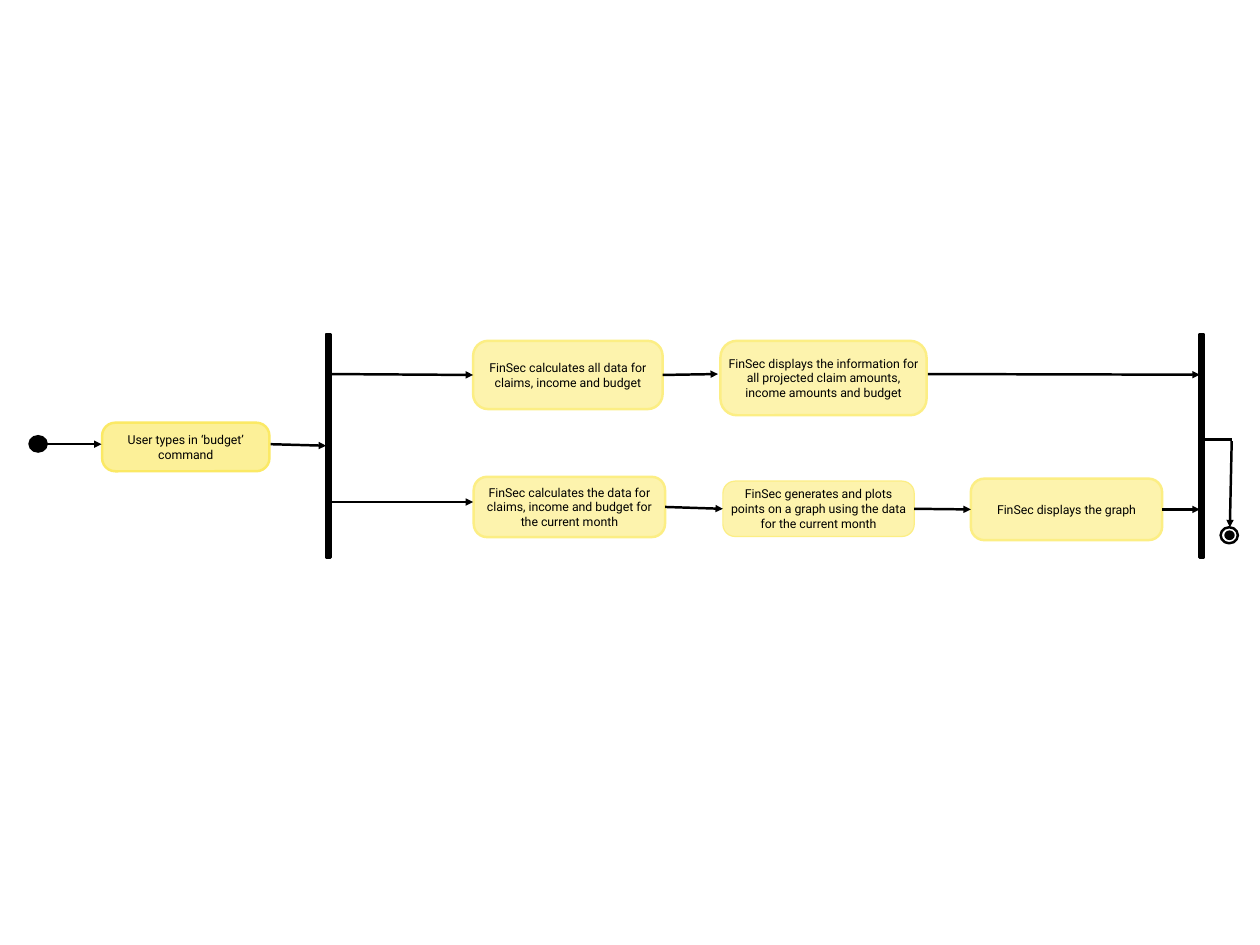
from lxml.etree import SubElement
from pptx import Presentation
from pptx.dml.color import RGBColor
from pptx.enum.shapes import MSO_CONNECTOR, MSO_SHAPE
from pptx.enum.text import MSO_ANCHOR, PP_ALIGN
from pptx.oxml.ns import qn
from pptx.util import Pt

BLACK, WHITE = "000000", "FFFFFF"
DEEP = ("FCF098", "FBE965")
PALE = ("FDF3AD", "FCEE84")
LEFT, RIGHT = 1, 3

# Steps: key -> text, (left, top, width, height), (fill, border), border width, corner
steps = {
    "command": ("User types in ‘budget’ command",
                (83, 343.5, 136, 39.5), DEEP, 2, 0.27),
    "calculate all": ("FinSec calculates all data for claims, income and budget",
                      (384.5, 277, 154, 55.5), PALE, 2, 0.22),
    "show amounts": ("FinSec displays the information for all projected claim amounts, "
                     "income amounts and budget",
                     (585.5, 277, 167.5, 60.5), PALE, 2, 0.22),
    "calculate month": ("FinSec calculates the data for claims, income and budget "
                        "for the current month",
                        (385, 387.5, 155.5, 49), PALE, 2, 0.22),
    "plot": ("FinSec generates and plots points on a graph using the data "
             "for the current month",
             (587.5, 391, 155.5, 45), PALE, 1, 0.22),
    "show graph": ("FinSec displays the graph",
                   (789, 389, 155.5, 50), PALE, 2, 0.22),
}
bars = {"fork": 265, "join": 975}
BAR_TOP, BAR_WIDTH, BAR_HEIGHT = 271.5, 3.6, 181.5

# Start dot, end ring and end dot: (left, top, width, height), fill, border
markers = [
    ((23, 353.5, 16, 14.5), BLACK, None),
    ((992, 428.5, 14, 13), WHITE, BLACK),
    ((995, 431, 8.5, 8), BLACK, None),
]

# Flows: start point, end point, joined start, joined end, arrowhead
flows = [
    ((38, 361), (82.5, 361), None, None, True),
    ((220, 361), (265, 362), None, ("fork", LEFT), True),
    ((269, 304), (384.5, 304), None, ("calculate all", LEFT), True),
    ((538.5, 304), (583.5, 304), ("calculate all", RIGHT), None, True),
    ((754, 304), (975, 304.5), None, None, True),
    ((269, 408), (384.5, 408), None, None, True),
    ((540.5, 412), (587.5, 412), ("calculate month", RIGHT), ("plot", LEFT), True),
    ((743, 413.5), (789, 414), ("plot", RIGHT), ("show graph", LEFT), True),
    ((944.5, 414), (975, 414), ("show graph", RIGHT), None, True),
    ((979, 357), (1001.5, 357), None, None, False),
    ((1001, 358.5), (999.5, 428.5), None, None, True),
]


def color(hex_text):
    return RGBColor.from_string(hex_text)


def add_part(slide, kind, box, fill, border=None, border_width=2):
    part = slide.shapes.add_shape(kind, *map(Pt, box))
    part.shadow.inherit = False
    part.fill.solid()
    part.fill.fore_color.rgb = color(fill)
    if border:
        part.line.color.rgb = color(border)
        part.line.width = Pt(border_width)
    else:
        part.line.fill.background()
    return part


def add_step(slide, text, box, colors, border_width, corner):
    step = add_part(slide, MSO_SHAPE.ROUNDED_RECTANGLE, box, *colors, border_width)
    step.adjustments[0] = corner
    frame = step.text_frame
    frame.word_wrap = True
    frame.vertical_anchor = MSO_ANCHOR.MIDDLE
    frame.margin_left = frame.margin_right = Pt(2)
    frame.margin_top = frame.margin_bottom = Pt(0)
    frame.text = text
    paragraph = frame.paragraphs[0]
    paragraph.alignment = PP_ALIGN.CENTER
    font = paragraph.runs[0].font
    font.name, font.size = "Roboto", Pt(10)
    font.color.rgb = color(BLACK)
    return step


def add_flow(slide, nodes, start, end, joined_start, joined_end, arrowhead):
    flow = slide.shapes.add_connector(MSO_CONNECTOR.STRAIGHT, *map(Pt, start + end))
    if joined_start:
        flow.begin_connect(nodes[joined_start[0]], joined_start[1])
    if joined_end:
        flow.end_connect(nodes[joined_end[0]], joined_end[1])
    flow.line.color.rgb = color(BLACK)
    flow.line.width = Pt(2)
    properties = flow.element.spPr
    if arrowhead:
        SubElement(properties.find(qn("a:ln")), qn("a:tailEnd"), type="triangle")
    SubElement(properties, qn("a:effectLst"))


def main():
    deck = Presentation()
    deck.slide_width, deck.slide_height = Pt(1024), Pt(768)
    slide = deck.slides.add_slide(deck.slide_layouts[6])

    # Steps and synchronisation bars
    nodes = {key: add_step(slide, *step) for key, step in steps.items()}
    for key, left in bars.items():
        box = (left, BAR_TOP, BAR_WIDTH, BAR_HEIGHT)
        nodes[key] = add_part(slide, MSO_SHAPE.RECTANGLE, box, BLACK, BLACK)

    # Start and end markers
    for box, fill, border in markers:
        add_part(slide, MSO_SHAPE.OVAL, box, fill, border)

    # Flows between the parts
    for flow in flows:
        add_flow(slide, nodes, *flow)

    deck.save("out.pptx")


if __name__ == "__main__":
    main()
